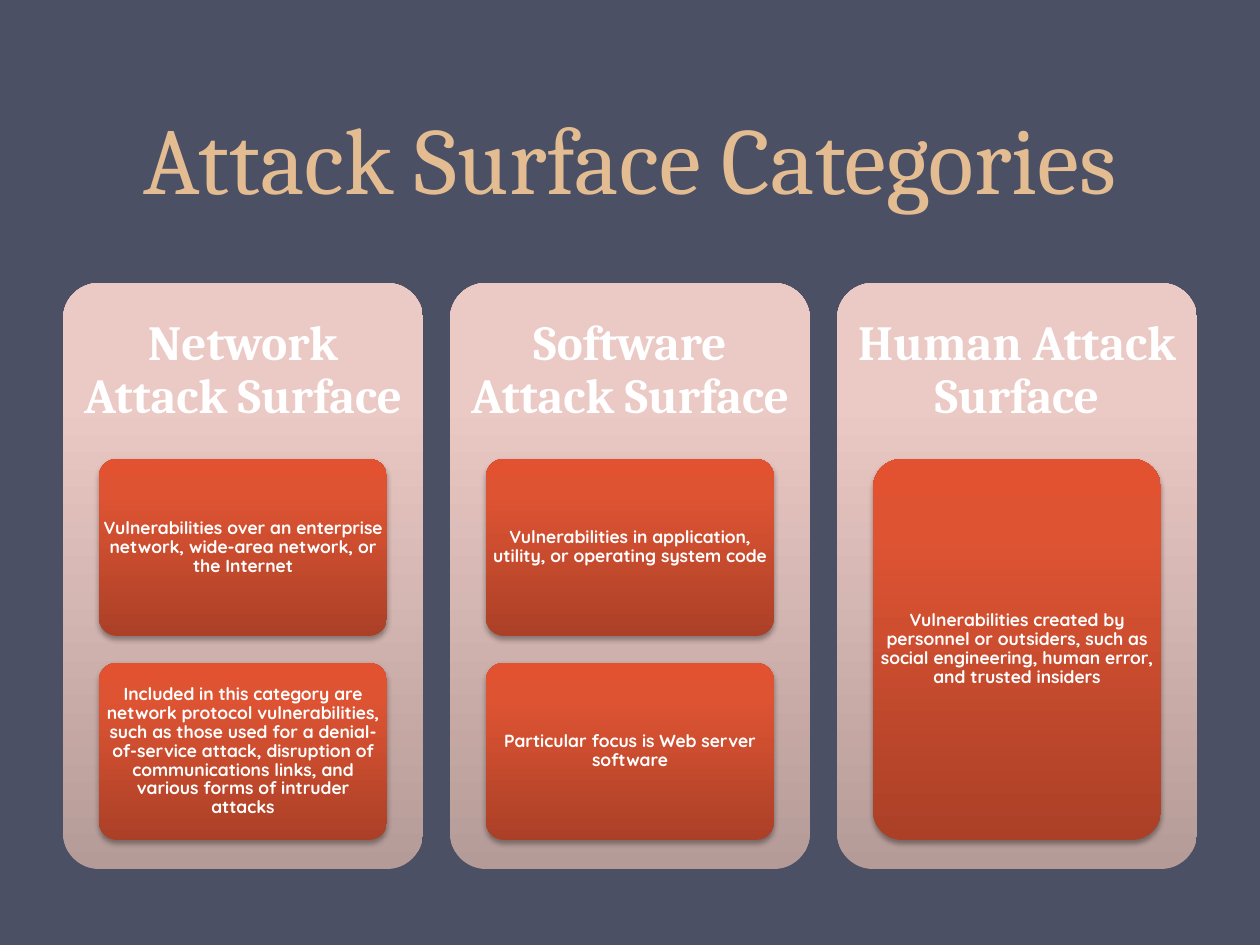
from copy import deepcopy

from lxml.etree import SubElement
from pptx import Presentation
from pptx.dml.color import RGBColor
from pptx.enum.shapes import MSO_SHAPE
from pptx.enum.text import MSO_ANCHOR, MSO_AUTO_SIZE, PP_ALIGN
from pptx.oxml.ns import qn
from pptx.util import Emu, Pt

EMU_PER_PX = 914400 / 126
COLORS = {"background": "4B5064", "title": "E3BC92", "text": "FFFFFF", "shadow": "000000"}
GRADIENTS = {
    "panel": {"B59B97": 0, "EBC9C5": 0.8, "EDC9C5": 1},
    "card": {"AB4027": 0, "DE5433": 0.8, "E35230": 1},
}
CATEGORIES = {
    "Network Attack Surface": [
        "Vulnerabilities over an enterprise network, wide-area network, or the Internet",
        "Included in this category are network protocol vulnerabilities, such as those used "
        "for a denial-of-service attack, disruption of communications links, and various "
        "forms of intruder attacks",
    ],
    "Software Attack Surface": [
        "Vulnerabilities in application, utility, or operating system code",
        "Particular focus is Web server software",
    ],
    "Human Attack Surface": [
        "Vulnerabilities created by personnel or outsiders, such as social engineering, "
        "human error, and trusted insiders",
    ],
}
PANEL_LEFT, PANEL_TOP, PANEL_WIDTH, PANEL_HEIGHT = 63, 283, 360, 586
PANEL_GAP, HEADING_HEIGHT = 27, 176
CARD_INDENT, CARD_WIDTH, CARD_GAP = 36, 288, 27
CARDS_TOP, CARDS_HEIGHT = 459, 381


def px(length):
    return Emu(round(length * EMU_PER_PX))


def write_text(frame, text, font_name, size, color, line_spacing, bold=False):
    frame.word_wrap = True
    frame.auto_size = MSO_AUTO_SIZE.NONE
    frame.text = text
    para = frame.paragraphs[0]
    para.alignment = PP_ALIGN.CENTER
    para.line_spacing = line_spacing
    font = para.runs[0].font
    font.name, font.size, font.bold = font_name, Pt(size), bold
    font.color.rgb = RGBColor.from_string(COLORS[color])


def add_title(page, text):
    title = page.shapes.title
    title.left, title.top, title.width, title.height = px(63), px(0), px(1134), px(220)
    title.text_frame.vertical_anchor = MSO_ANCHOR.BOTTOM
    write_text(title.text_frame, text, "Cambria", 54, "title", Pt(58))


def fill_gradient(shape, stops):
    shape.fill.gradient()
    shape.fill.gradient_angle = 90
    stop_list = shape.element.spPr.find(qn("a:gradFill")).find(qn("a:gsLst"))
    stop_list.append(deepcopy(stop_list[-1]))
    for stop, (color, position) in zip(shape.fill.gradient_stops, stops.items()):
        stop.color.rgb = RGBColor.from_string(color)
        stop.position = position


def add_rounded_box(shapes, left, top, width, height, gradient):
    box = shapes.add_shape(
        MSO_SHAPE.ROUNDED_RECTANGLE, px(left), px(top), px(width), px(height)
    )
    box.adjustments[0] = 0.1
    box.line.fill.background()
    box.shadow.inherit = False
    fill_gradient(box, GRADIENTS[gradient])
    return box


def add_shadow(box):
    effects = box.element.spPr.find(qn("a:effectLst"))
    shadow = SubElement(
        effects, qn("a:outerShdw"), blurRad=str(Pt(3.1)), dist=str(Pt(1.8)),
        dir="5400000", rotWithShape="0",
    )
    color = SubElement(shadow, qn("a:srgbClr"), val=COLORS["shadow"])
    SubElement(color, qn("a:alpha"), val="35000")


def add_label(shapes, left, top, width, height, text, font_name, size, margins):
    label = shapes.add_textbox(px(left), px(top), px(width), px(height))
    frame = label.text_frame
    frame.margin_left = frame.margin_right = px(margins[0])
    frame.margin_top = frame.margin_bottom = px(margins[1])
    frame.vertical_anchor = MSO_ANCHOR.MIDDLE
    write_text(frame, text, font_name, size, "text", 0.9, bold=True)


def add_card(shapes, left, top, height, text):
    area = (left, top, CARD_WIDTH, height)
    add_shadow(add_rounded_box(shapes, *area, "card"))
    add_label(shapes, *area, text, "Quicksand", 10, (4, 3))


def add_category(shapes, left, heading, items):
    add_rounded_box(shapes, left, PANEL_TOP, PANEL_WIDTH, PANEL_HEIGHT, "panel")
    add_label(
        shapes, left, PANEL_TOP, PANEL_WIDTH, HEADING_HEIGHT, heading, "Cambria", 28, (15, 15)
    )
    card_height = (CARDS_HEIGHT - CARD_GAP * (len(items) - 1)) // len(items)
    for row, text in enumerate(items):
        top = CARDS_TOP + row * (card_height + CARD_GAP)
        add_card(shapes, left + CARD_INDENT, top, card_height, text)


def main():
    deck = Presentation()
    deck.slide_width, deck.slide_height = px(1260), px(945)
    page = deck.slides.add_slide(deck.slide_layouts[5])
    page.background.fill.solid()
    page.background.fill.fore_color.rgb = RGBColor.from_string(COLORS["background"])
    add_title(page, "Attack Surface Categories")
    diagram = page.shapes.add_group_shape()
    for column, (heading, items) in enumerate(CATEGORIES.items()):
        left = PANEL_LEFT + column * (PANEL_WIDTH + PANEL_GAP)
        add_category(diagram.shapes, left, heading, items)
    deck.save("out.pptx")


if __name__ == "__main__":
    main()
